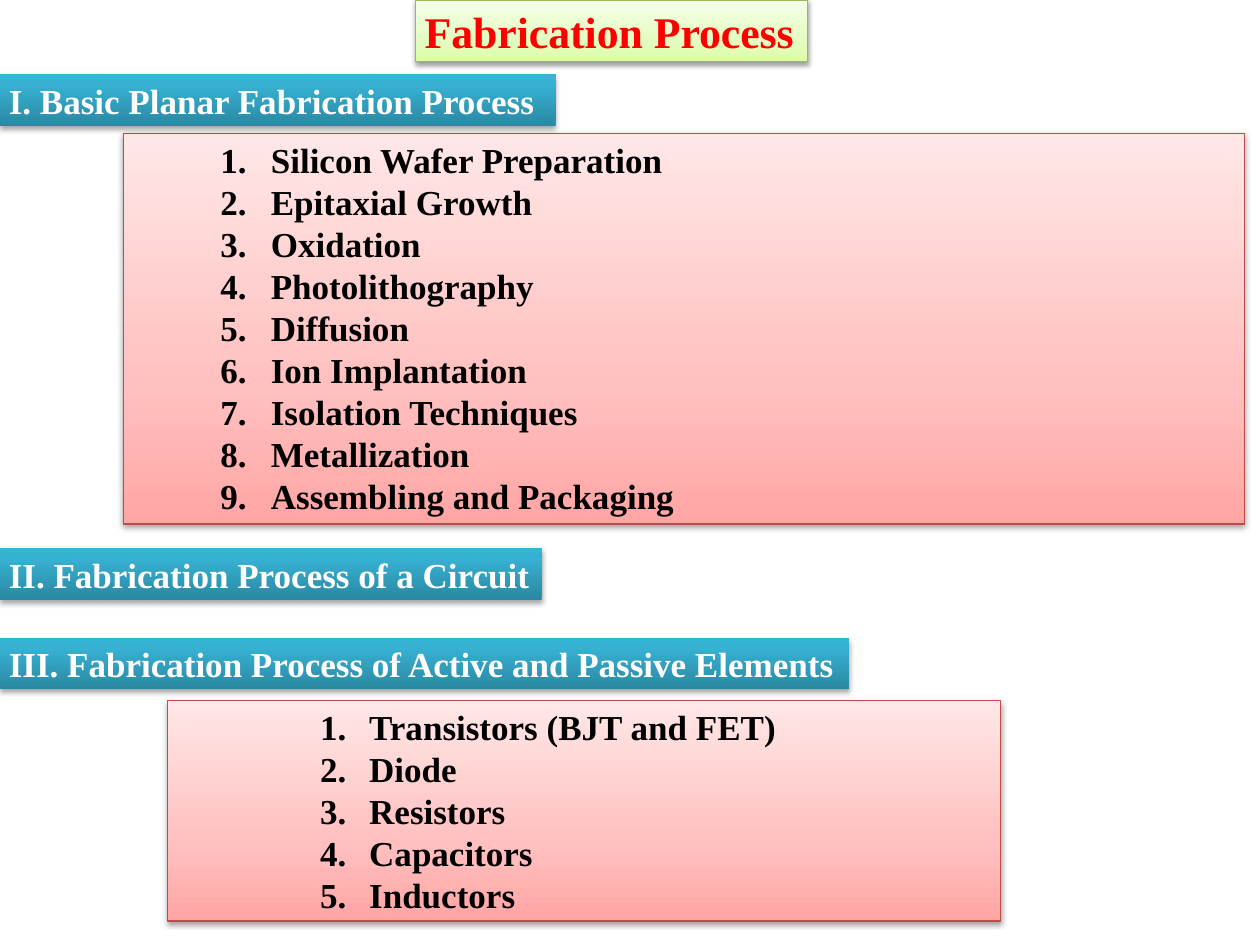
from lxml import etree
from pptx import Presentation
from pptx.dml.color import RGBColor
from pptx.enum.shapes import MSO_SHAPE
from pptx.enum.text import MSO_ANCHOR, MSO_AUTO_SIZE, PP_ALIGN as Align
from pptx.oxml import parse_xml
from pptx.oxml.ns import nsdecls, qn
from pptx.util import Inches, Pt

RED = RGBColor(0xFF, 0x00, 0x00)
BLACK = RGBColor(0x00, 0x00, 0x00)
WHITE = RGBColor(0xFF, 0xFF, 0xFF)
GREEN_LINE = RGBColor(0x98, 0xB9, 0x55)
RED_LINE = RGBColor(0xBF, 0x4C, 0x48)

# Gradient stops run from the bottom edge to the top edge.
GREEN_STOPS = [(0, "DAFDA7"), (35, "E4FCC2"), (100, "F5FFE7")]
PINK_STOPS = [(0, "FFA6A5"), (35, "FFC0BF"), (100, "FFE7E7")]
TEAL_STOPS = [(0, "2A88A2"), (80, "37B1D2"), (100, "34B4D6")]

PROCESS_STEPS = [
    "Silicon Wafer Preparation", "Epitaxial Growth", "Oxidation",
    "Photolithography", "Diffusion", "Ion Implantation",
    "Isolation Techniques", "Metallization", "Assembling and Packaging",
]
ELEMENTS = ["Transistors (BJT and FET)", "Diode", "Resistors", "Capacitors", "Inductors"]

presentation = Presentation()
presentation.slide_width, presentation.slide_height = Inches(10), Inches(7.5)
slide = presentation.slides.add_slide(presentation.slide_layouts[6])


def add_panel(box, stops, line_color, shadow_alpha, shadow_distance):
    """Add a rectangle with a vertical gradient and a soft shadow below it."""
    shape = slide.shapes.add_shape(MSO_SHAPE.RECTANGLE, *map(Inches, box))
    properties = shape._element.spPr
    stop_xml = "".join(
        f'<a:gs pos="{position * 1000}"><a:srgbClr val="{color}"/></a:gs>'
        for position, color in stops
    )
    properties.append(parse_xml(
        f'<a:gradFill {nsdecls("a")} rotWithShape="1"><a:gsLst>{stop_xml}</a:gsLst>'
        '<a:lin ang="16200000" scaled="0"/></a:gradFill>'
    ))
    if line_color is None:
        shape.line.fill.background()
    else:
        shape.line.color.rgb = line_color
        shape.line.width = Pt(0.75)
    properties.append(parse_xml(
        f'<a:effectLst {nsdecls("a")}><a:outerShdw blurRad="{Pt(3.1)}" '
        f'dist="{Pt(shadow_distance)}" dir="5400000" rotWithShape="0">'
        f'<a:srgbClr val="000000"><a:alpha val="{shadow_alpha * 1000}"/></a:srgbClr>'
        '</a:outerShdw></a:effectLst>'
    ))
    return shape


def write_lines(shape, lines, size, color, wrap, number_indent=None):
    """Fill the shape with bold lines, numbered when (margin, indent) is given."""
    frame = shape.text_frame
    frame.margin_left = frame.margin_right = Inches(0.07)
    frame.margin_top = frame.margin_bottom = Inches(0.04)
    frame.vertical_anchor = MSO_ANCHOR.TOP
    frame.word_wrap = wrap
    frame.auto_size = MSO_AUTO_SIZE.SHAPE_TO_FIT_TEXT
    frame.text = "\n".join(lines)
    for paragraph in frame.paragraphs:
        paragraph.alignment = Align.LEFT
        if number_indent:
            paragraph.alignment = Align.JUSTIFY
            settings = paragraph._p.get_or_add_pPr()
            margin, indent = number_indent
            settings.set("marL", str(Inches(margin)))
            settings.set("indent", str(Inches(indent)))
            etree.SubElement(settings, qn("a:buFont"), typeface="+mj-lt")
            etree.SubElement(settings, qn("a:buAutoNum"), type="arabicPeriod")
        font = paragraph.font
        font.name, font.size, font.bold = "Times New Roman", Pt(size), True
        font.color.rgb = color


title = add_panel((3.3, 0, 3.11, 0.49), GREEN_STOPS, GREEN_LINE, 38, 1.6)
write_lines(title, ["Fabrication Process"], 25, RED, False)

steps_panel = add_panel((0.98, 1.06, 8.9, 3.1), PINK_STOPS, RED_LINE, 38, 1.6)
write_lines(steps_panel, PROCESS_STEPS, 20, BLACK, True, (1.1, -0.4))
steps_panel.text_frame._txBody.bodyPr.set("numCol", "2")

for heading, top, width in [
    ("I. Basic Planar Fabrication Process", 0.59, 4.41),
    ("II. Fabrication Process of a Circuit", 4.35, 4.3),
    ("III. Fabrication Process of Active and Passive Elements", 5.06, 6.74),
]:
    banner = add_panel((0, top, width, 0.41), TEAL_STOPS, None, 35, 1.8)
    write_lines(banner, [heading], 20, WHITE, False)

elements_panel = add_panel((1.33, 5.56, 6.61, 1.75), PINK_STOPS, RED_LINE, 38, 1.6)
write_lines(elements_panel, ELEMENTS, 20, BLACK, True, (1.53, -0.39))

presentation.save("out.pptx")
